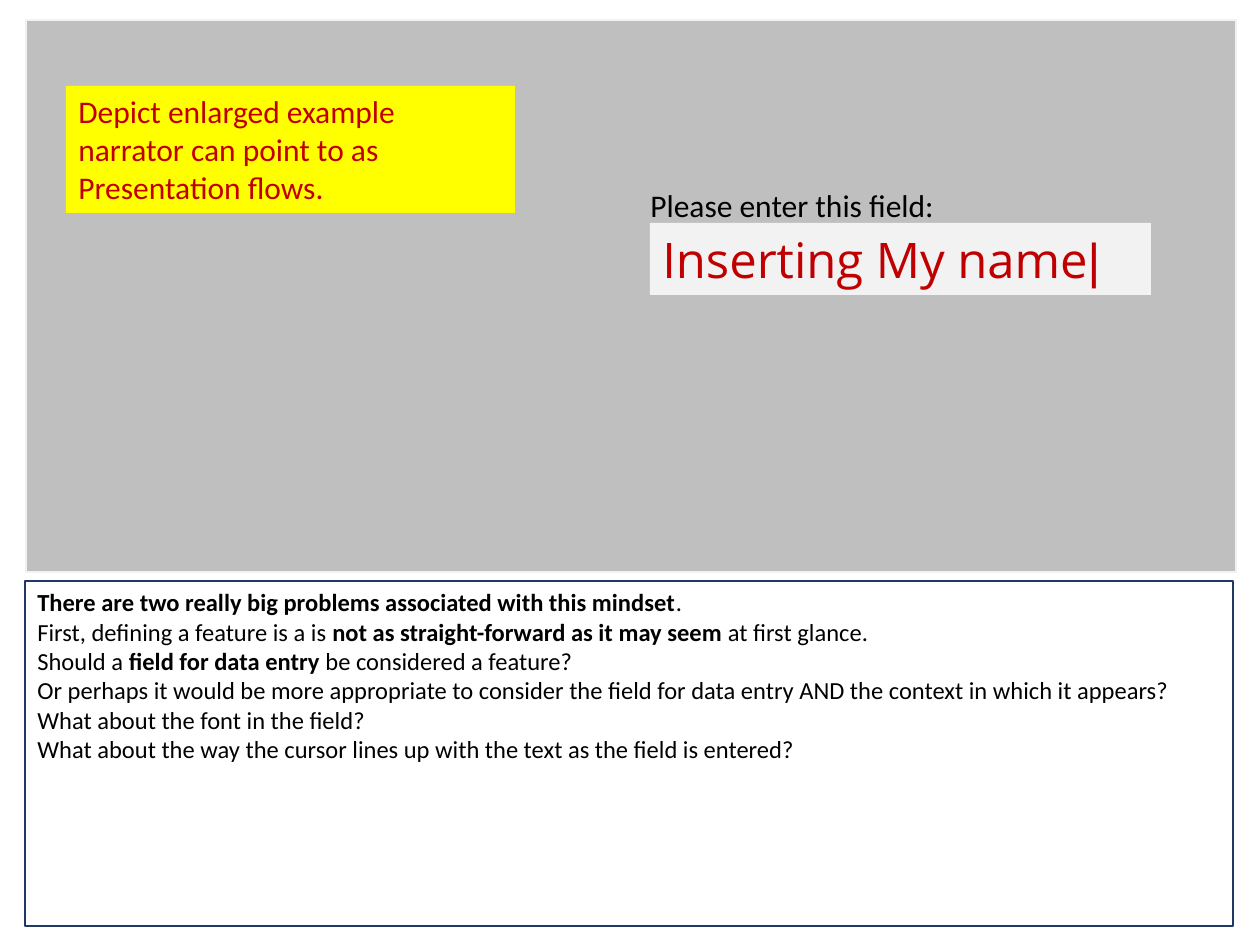
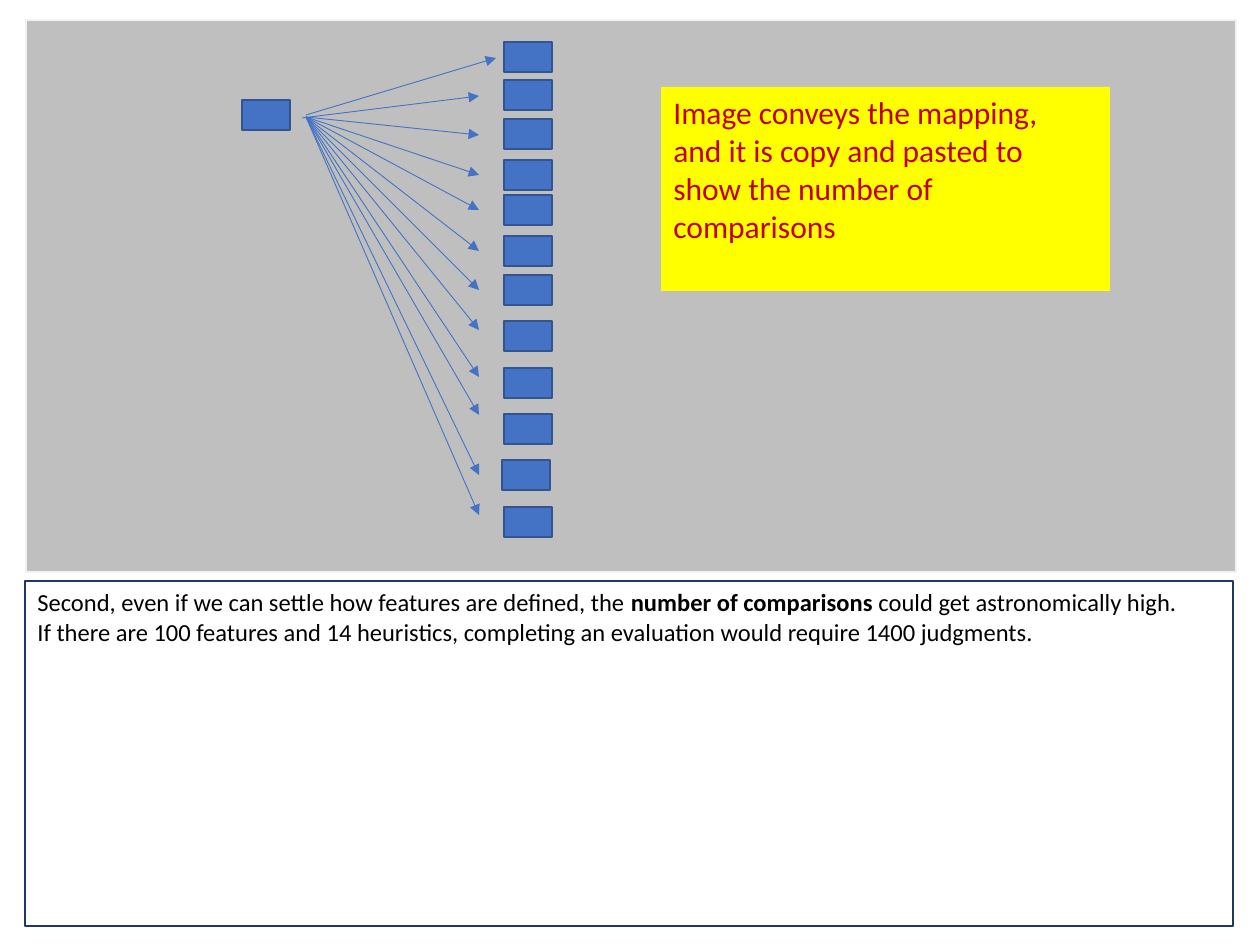
from pptx import Presentation
from pptx.dml.color import RGBColor
from pptx.enum.shapes import MSO_CONNECTOR, MSO_SHAPE
from pptx.enum.text import MSO_ANCHOR, PP_ALIGN
from pptx.oxml.ns import qn
from pptx.util import Emu, Pt
from lxml.etree import SubElement

SCALE = 914400 / 126
HUES = {
    "panel": "BFBFBF", "pale": "F2F2F2", "navy": "203864", "ink": "000000",
    "red": "C00000", "note": "FFFF00", "blue": "4472C4", "edge": "325491",
}
BODY = {"name": "Calibri", "size": Pt(14)}
CALL = {"name": "Calibri", "size": Pt(18)}
FIELD = {"name": "Open Sans", "size": Pt(28)}
PANEL = (26, 20, 1210, 552)
SCRIPT = (25, 581, 1208, 345)


def px(*vals):
    return [Emu(round(val * SCALE)) for val in vals]


def hue(name):
    return RGBColor.from_string(HUES[name])


def style(item, form):
    for key, val in form.items():
        setattr(item, key, val)


def within(box, left, top, width, height):
    return box[0] + left, box[1] + top, width, height


def rect(slide, box, fill=None, line=None, width=1):
    shape = slide.shapes.add_shape(MSO_SHAPE.RECTANGLE, *px(*box))
    shape.shadow.inherit = False
    if fill:
        shape.fill.solid()
        shape.fill.fore_color.rgb = hue(fill)
    else:
        shape.fill.background()
    if line:
        shape.line.color.rgb = hue(line)
        shape.line.width = Pt(width)
    else:
        shape.line.fill.background()
    return shape


def write(shape, paras, form, color, anchor=MSO_ANCHOR.TOP, wrap=True):
    frame = shape.text_frame
    style(frame, {"word_wrap": wrap, "vertical_anchor": anchor})
    for num, parts in enumerate(paras):
        para = frame.add_paragraph() if num else frame.paragraphs[0]
        para.alignment = PP_ALIGN.LEFT
        for part in parts:
            text, extra = part if isinstance(part, tuple) else (part, {})
            run = para.add_run()
            run.text = text
            style(run.font, {**form, **extra})
            run.font.color.rgb = hue(color)


def bold(text):
    return text, {"bold": True}


def base(deck, paras):
    slide = deck.slides.add_slide(deck.slide_layouts[6])
    rect(slide, PANEL, "panel", "pale")
    write(rect(slide, SCRIPT, None, "navy", 0.75), paras, BODY, "ink")
    return slide


def callout(slide, box, paras):
    write(rect(slide, box, "note"), paras, CALL, "red")


def entry(slide, box):
    left, top, width, height = box
    field = rect(slide, box, "pale")
    write(field, [["Inserting My name", ("|", {"name": "Arial"})]],
          FIELD, "red", MSO_ANCHOR.MIDDLE)
    label = slide.shapes.add_textbox(*px(left - 12, top - 43, 312, 50))
    write(label, [["Please enter this field:"]], CALL, "ink", wrap=False)


def arrow(slide, start, end):
    line = slide.shapes.add_connector(
        MSO_CONNECTOR.STRAIGHT, *px(*start, *end))
    style(line.line, {"width": Pt(0.5)})
    line.line.color.rgb = hue("blue")
    SubElement(line.line._get_or_add_ln(), qn("a:tailEnd"), type="triangle")
    SubElement(line._element.spPr, qn("a:effectLst"))


def fan(slide, box):
    tops = [0, 38, 77, 118, 153, 194, 233] + [
        round(279 + 46.5 * step) for step in range(5)]
    ends = [16, 54, 93, 133, 168, 209, 248, 288, 335, 373, 433, 473]
    starts = {0: (64, 73), 1: (60, 76)}
    tips = {0: 254}
    shifts = {10: -2}

    def node(left, top):
        rect(slide, within(box, left, top, 48, 30), "blue", "edge")

    def point(left, top):
        return box[0] + left, box[1] + top

    node(0, 58)
    for num, top in enumerate(tops):
        node(262 + shifts.get(num, 0), top)
    for num, end in enumerate(ends):
        arrow(slide, point(*starts.get(num, (64, 75))),
              point(tips.get(num, 237), end))


deck = Presentation()
style(deck, dict(zip(("slide_width", "slide_height"), px(1260, 945))))

slide = base(deck, [
    [bold("There are two really big problems associated with this mindset"),
     "."],
    ["First, defining a feature is a is ",
     bold("not as straight-forward as it may seem"), " at first glance."],
    ["Should a ", bold("field for data entry"), " be considered a feature?"],
    ["Or perhaps it would be more appropriate to consider the field for "
     "data entry AND the context in which it appears?"],
    ["What about the font in the field?"],
    ["What about the way the cursor lines up with the text as the field "
     "is entered?"],
])
entry(slide, within(PANEL, 624, 203, 501, 72))
callout(slide, within(PANEL, 40, 66, 449, 127), [
    ["Depict enlarged example narrator can point to as"],
    ["Presentation flows."],
])

slide = base(deck, [
    ["Second, even if we can settle how features are defined, the ",
     bold("number of comparisons"), " could get astronomically high."],
    ["If there are 100 features and 14 heuristics, completing an "
     "evaluation would require 1400 judgments."],
])
fan(slide, within(PANEL, 216, 22, 310, 495))
callout(slide, within(PANEL, 635, 67, 449, 204), [
    ["Image conveys the mapping,"],
    ["and it is copy and pasted to show the number of comparisons"],
])

deck.save("out.pptx")
